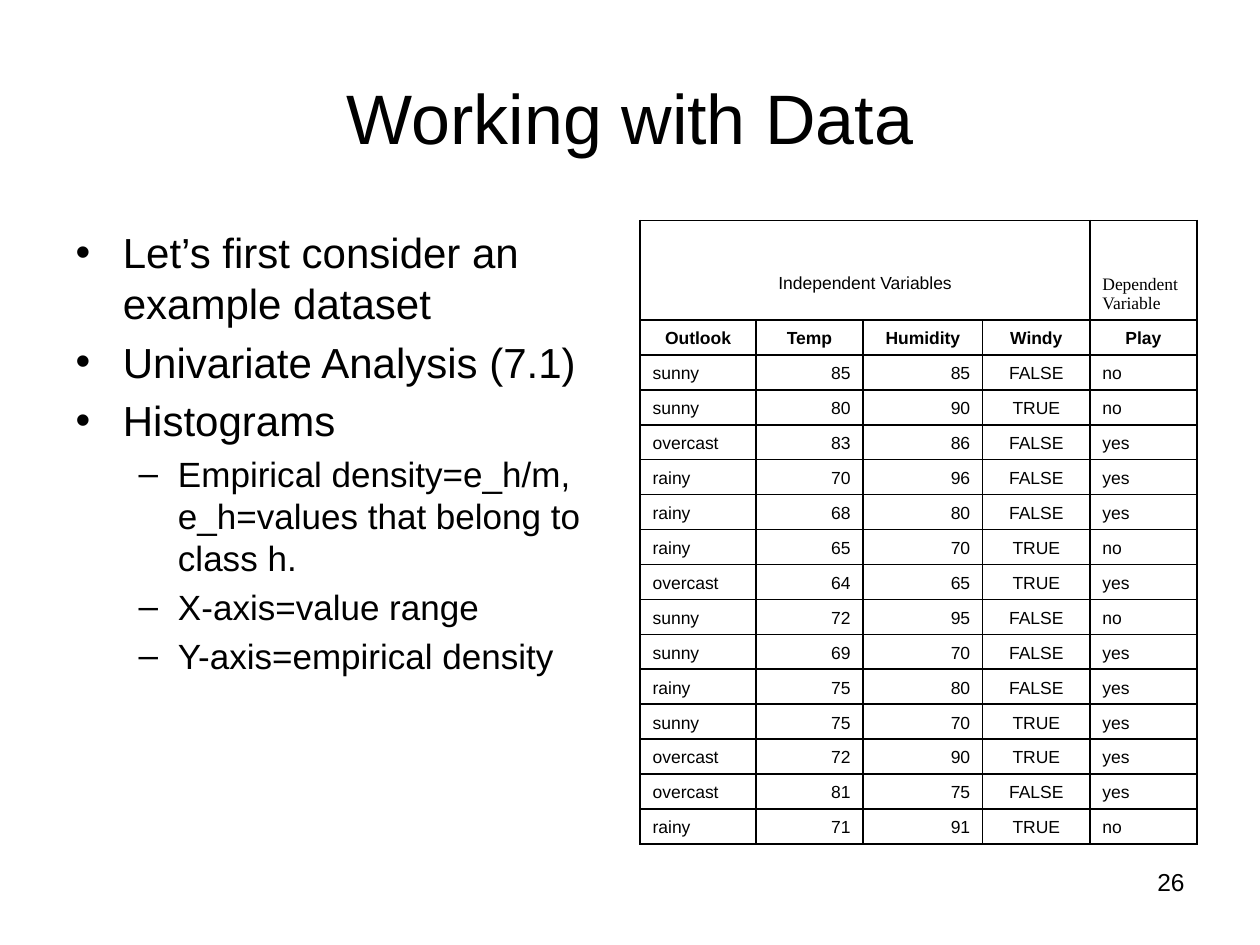
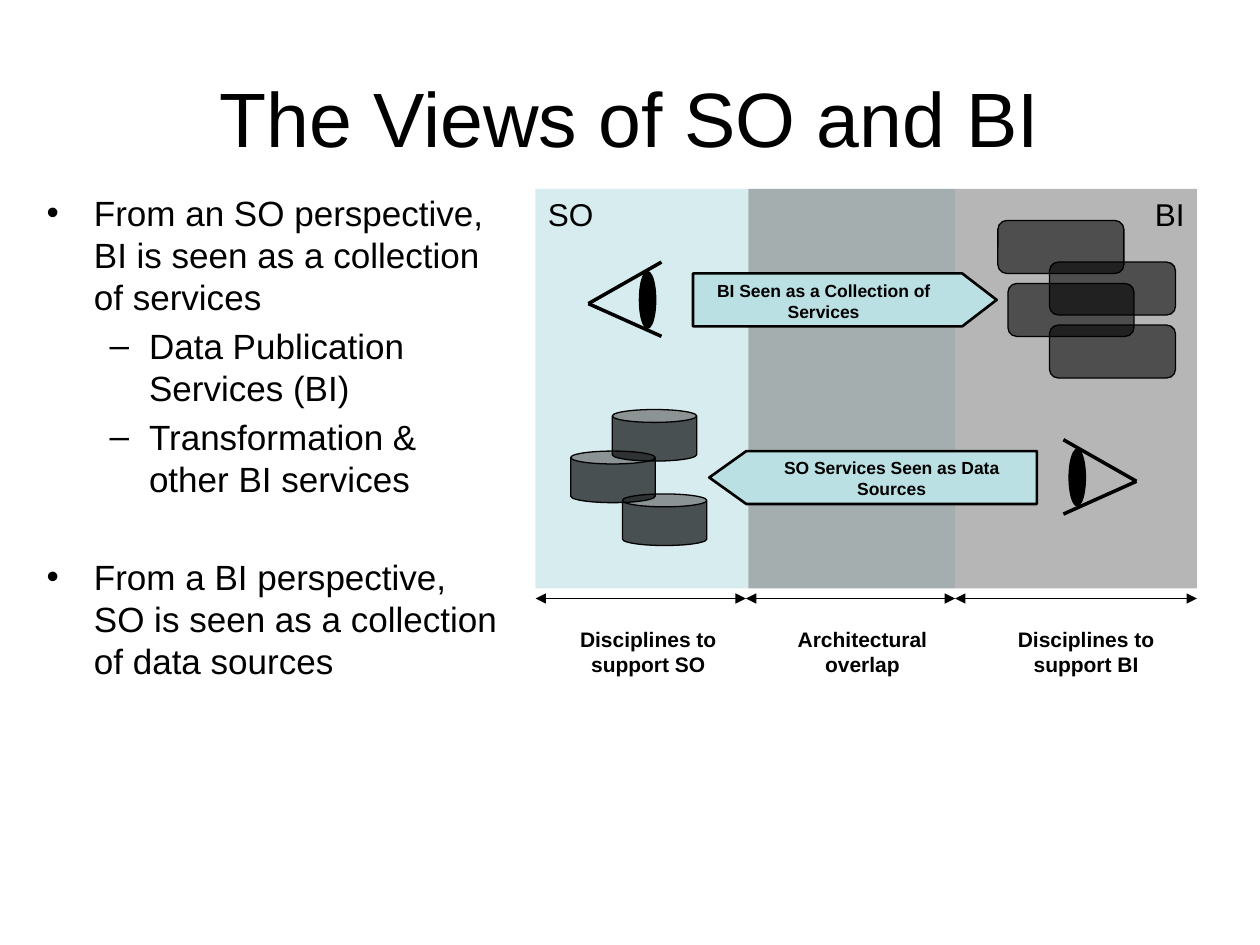
from lxml import etree
from pptx import Presentation
from pptx.dml.color import RGBColor
from pptx.enum.shapes import MSO_CONNECTOR, MSO_SHAPE
from pptx.enum.text import MSO_ANCHOR, MSO_AUTO_SIZE, PP_ALIGN
from pptx.oxml.ns import qn
from pptx.util import Inches, Pt

BLACK = RGBColor(0x00, 0x00, 0x00)
GRAY = RGBColor(0x80, 0x80, 0x80)
TEAL = RGBColor(0xBB, 0xE0, 0xE3)
SANS, SERIF = "Arial", "Times New Roman"

LEFT, CENTER, RIGHT = PP_ALIGN.LEFT, PP_ALIGN.CENTER, PP_ALIGN.RIGHT
TOP, MIDDLE, BOTTOM = MSO_ANCHOR.TOP, MSO_ANCHOR.MIDDLE, MSO_ANCHOR.BOTTOM
RECTANGLE, ROUNDED = MSO_SHAPE.RECTANGLE, MSO_SHAPE.ROUNDED_RECTANGLE
CAN, OVAL = MSO_SHAPE.CAN, MSO_SHAPE.OVAL
CALLOUT = MSO_SHAPE.RIGHT_ARROW_CALLOUT
STRAIGHT = MSO_CONNECTOR.STRAIGHT
NO_AUTOFIT = MSO_AUTO_SIZE.NONE
TITLE_AND_CONTENT = 1

WEATHER_HEADINGS = ["Outlook", "Temp", "Humidity", "Windy", "Play"]
WEATHER_ALIGNMENTS = [LEFT, RIGHT, RIGHT, CENTER, LEFT]
WEATHER_WIDTHS = [0.92, 0.85, 0.95, 0.85, 0.85]
WEATHER = [
    ("sunny", 85, 85, "FALSE", "no"),
    ("sunny", 80, 90, "TRUE", "no"),
    ("overcast", 83, 86, "FALSE", "yes"),
    ("rainy", 70, 96, "FALSE", "yes"),
    ("rainy", 68, 80, "FALSE", "yes"),
    ("rainy", 65, 70, "TRUE", "no"),
    ("overcast", 64, 65, "TRUE", "yes"),
    ("sunny", 72, 95, "FALSE", "no"),
    ("sunny", 69, 70, "FALSE", "yes"),
    ("rainy", 75, 80, "FALSE", "yes"),
    ("sunny", 75, 70, "TRUE", "yes"),
    ("overcast", 72, 90, "TRUE", "yes"),
    ("overcast", 81, 75, "FALSE", "yes"),
    ("rainy", 71, 91, "TRUE", "no"),
]


def inches(*lengths):
    return [Inches(length) for length in lengths]


class SlideBuilder:
    """Holds the shared style and the slide being built."""

    def __init__(self, deck):
        self.deck = deck
        self.slide = None

    def new_slide(self, title, size):
        layout = self.deck.slide_layouts[TITLE_AND_CONTENT]
        self.slide = self.deck.slides.add_slide(layout)
        heading = self.slide.shapes.title
        self.place(heading, 0.5, 0.3, 9, 1.25)
        self.fill_text(heading.text_frame, [title], size, CENTER, anchor=MIDDLE)

    def place(self, shape, *area):
        shape.left, shape.top, shape.width, shape.height = inches(*area)

    def style(self, paragraph, size, align=LEFT, bold=False, font=SANS):
        paragraph.alignment = align
        paragraph.font.size = Pt(size)
        paragraph.font.name = font
        paragraph.font.bold = bold
        paragraph.font.color.rgb = BLACK

    def fill_text(self, frame, lines, size, align=LEFT, bold=False, font=SANS, anchor=TOP):
        frame.text = "\n".join(lines)
        frame.word_wrap = True
        frame.vertical_anchor = anchor
        for paragraph in frame.paragraphs:
            self.style(paragraph, size, align, bold, font)

    def bullets(self, area, items):
        """Each item is (level, size, text)."""
        body = self.slide.placeholders[1]
        self.place(body, *area)
        frame = body.text_frame
        frame.text = "\n".join(text for _, _, text in items)
        frame.auto_size = NO_AUTOFIT
        for paragraph, (level, size, _) in zip(frame.paragraphs, items):
            paragraph.level = level
            self.style(paragraph, size)
        return frame

    def text(self, area, line, size, align, bold=False):
        box = self.slide.shapes.add_textbox(*inches(*area))
        self.fill_text(box.text_frame, [line], size, align, bold)

    def shape(self, kind, area, fill, alpha=100, line=0.75, adjust=(), parent=None):
        shape = (parent or self.slide).shapes.add_shape(kind, *inches(*area))
        shape.shadow.inherit = False
        shape.fill.solid()
        shape.fill.fore_color.rgb = fill
        if alpha < 100:
            color = shape._element.spPr.find(qn("a:solidFill"))[0]
            etree.SubElement(color, qn("a:alpha"), val=str(alpha * 1000))
        if line:
            shape.line.color.rgb = BLACK
            shape.line.width = Pt(line)
        else:
            shape.line.fill.background()
        for index, value in enumerate(adjust):
            shape.adjustments[index] = value
        return shape

    def line(self, start, end, width, arrows=False, parent=None):
        shapes = (parent or self.slide).shapes
        connector = shapes.add_connector(STRAIGHT, *inches(*start, *end))
        connector.line.color.rgb = BLACK
        connector.line.width = Pt(width)
        properties = connector._element.spPr
        if arrows:
            outline = properties.find(qn("a:ln"))
            for end_name in ("a:headEnd", "a:tailEnd"):
                etree.SubElement(outline, qn(end_name), type="triangle")
        etree.SubElement(properties, qn("a:effectLst"))

    def callout(self, area, line, adjust, flipped=False):
        callout = self.shape(CALLOUT, area, TEAL, line=1.5, adjust=adjust)
        if flipped:
            callout._element.spPr.find(qn("a:xfrm")).set("flipH", "1")
        self.fill_text(callout.text_frame, [line], 10, CENTER, bold=True)

    def eye(self, tip_x, tip_y, direction):
        """Draw an eye whose lids open from the tip towards direction (1 or -1)."""
        group = self.slide.shapes.add_group_shape()
        for rise in (-0.33, 0.26):
            lid_end = (tip_x + direction * 0.58, tip_y + rise)
            self.line((tip_x, tip_y), lid_end, 2, parent=group)
        for offset, width, height in ((0.47, 0.13, 0.45), (0.51, 0.04, 0.19)):
            left = tip_x + direction * offset - width / 2
            top = tip_y - 0.03 - height / 2
            self.shape(OVAL, (left, top, width, height), BLACK, parent=group)

    def table(self, area, row_count, widths, first_height):
        frame = self.slide.shapes.add_table(row_count, len(widths), *inches(*area))
        table = frame.table
        table.first_row = table.horz_banding = False
        for column, width in zip(table.columns, widths):
            column.width = Inches(width)
        row_height = (area[3] - first_height) / (row_count - 1)
        for index, row in enumerate(table.rows):
            row.height = Inches(row_height if index else first_height)
        for cell in table.iter_cells():
            self.border(cell)
            cell.fill.background()
        return table

    def border(self, cell):
        properties = cell._tc.get_or_add_tcPr()
        for side in ("a:lnL", "a:lnR", "a:lnT", "a:lnB"):
            edge = etree.SubElement(properties, qn(side), w=str(Pt(1)))
            fill = etree.SubElement(edge, qn("a:solidFill"))
            etree.SubElement(fill, qn("a:srgbClr"), val=str(BLACK))

    def cell(self, cell, lines, align=LEFT, bold=False, font=SANS):
        self.fill_text(cell.text_frame, lines, 10, align, bold, font)
        cell.vertical_anchor = BOTTOM


def data_slide(page):
    page.new_slide("Working with Data", 40)
    page.bullets((0.5, 1.75, 4.42, 4.95), [
        (0, 24, "Let’s first consider an example dataset"),
        (0, 24, "Univariate Analysis (7.1)"),
        (0, 24, "Histograms"),
        (1, 20, "Empirical density=e_h/m, e_h=values that belong to class h."),
        (1, 20, "X-axis=value range"),
        (1, 20, "Y-axis=empirical density"),
    ])

    # Weather table: variable kinds, headings, observations
    table = page.table((5.08, 1.75, 4.42, 4.95), len(WEATHER) + 2, WEATHER_WIDTHS, 0.79)
    independent = table.cell(0, 0)
    independent.merge(table.cell(0, 3))
    page.cell(independent, ["Independent Variables"], CENTER)
    independent.margin_bottom = Inches(0.21)
    page.cell(table.cell(0, 4), ["Dependent", "Variable"], font=SERIF)
    for column, heading in enumerate(WEATHER_HEADINGS):
        page.cell(table.cell(1, column), [heading], CENTER, bold=True)
    for row, observation in enumerate(WEATHER, start=2):
        for column, value in enumerate(observation):
            page.cell(table.cell(row, column), [str(value)], WEATHER_ALIGNMENTS[column])

    page.text((7.17, 6.83, 2.33, 0.52), "26", 14, RIGHT)


def views_slide(page):
    page.new_slide("The Views of SO and BI", 44)
    body = page.bullets((0.27, 1.47, 3.78, 5.28), [
        (0, 20, "From an SO perspective, BI is seen as a collection of services"),
        (1, 20, "Data Publication Services (BI)"),
        (1, 20, "Transformation & other BI services"),
        (0, 20, "From a BI perspective, SO is seen as a collection of data sources"),
    ])
    body.paragraphs[-1].space_before = Pt(32)

    # Overlapping discipline areas
    for name, left, width, color, alpha, align in (
        ("SO", 4.25, 3.33, TEAL, 59, LEFT),
        ("BI", 5.94, 3.56, GRAY, 57, RIGHT),
    ):
        panel = page.shape(RECTANGLE, (left, 1.5, width, 3.17), color, alpha, line=0)
        page.fill_text(panel.text_frame, [name], 18, align)

    # What each side sees
    page.callout((5.5, 2.17, 2.41, 0.42), "BI Seen as a Collection of Services",
                 (1, 0.5, 0.65, 0.86))
    page.callout((5.63, 3.58, 2.6, 0.42), "SO Services Seen as Data Sources",
                 (1, 0.5, 0.7, 0.89), flipped=True)
    for left, top in ((4.94, 3.92), (4.53, 3.58), (4.86, 3.25)):
        page.shape(CAN, (left, top, 0.67, 0.41), BLACK, 66, adjust=[0.25])
    for left, top in ((7.92, 1.75), (8.33, 2.08), (8, 2.25), (8.33, 2.58)):
        page.shape(ROUNDED, (left, top, 1, 0.42), BLACK, 57)
    page.eye(4.67, 2.41, 1)
    page.eye(9.02, 3.82, -1)

    # Spans below the areas
    edges = [4.25, 5.92, 7.58, 9.5]
    for start, end in zip(edges, edges[1:]):
        page.line((start, 4.75), (end, 4.75), 0.75, arrows=True)
    for left, width, label in (
        (4.5, 1.29, "Disciplines to support SO"),
        (6.17, 1.35, "Architectural overlap"),
        (7.83, 1.58, "Disciplines to support BI"),
    ):
        page.text((left, 4.92, width, 0.5), label, 12, CENTER, bold=True)


def main():
    deck = Presentation()
    deck.slide_width, deck.slide_height = inches(10, 7.5)
    page = SlideBuilder(deck)
    data_slide(page)
    views_slide(page)
    deck.save("out.pptx")


if __name__ == "__main__":
    main()
